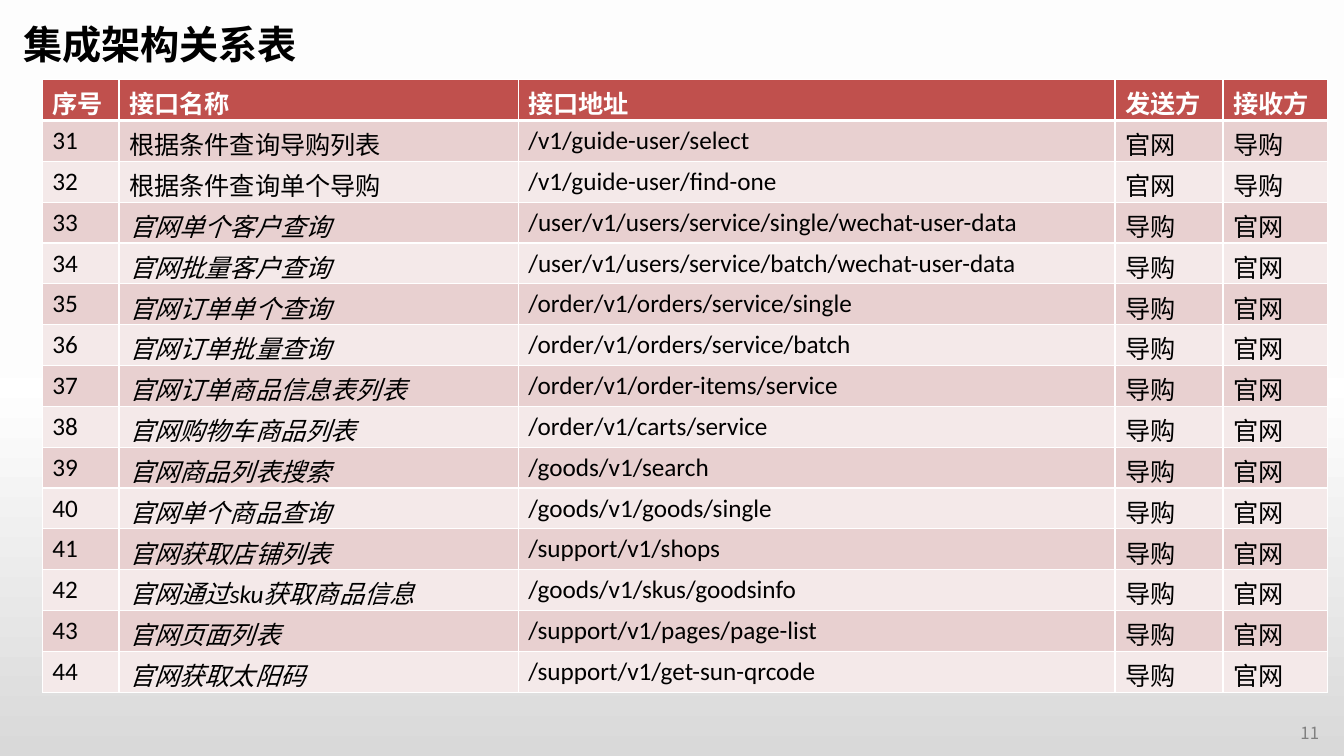
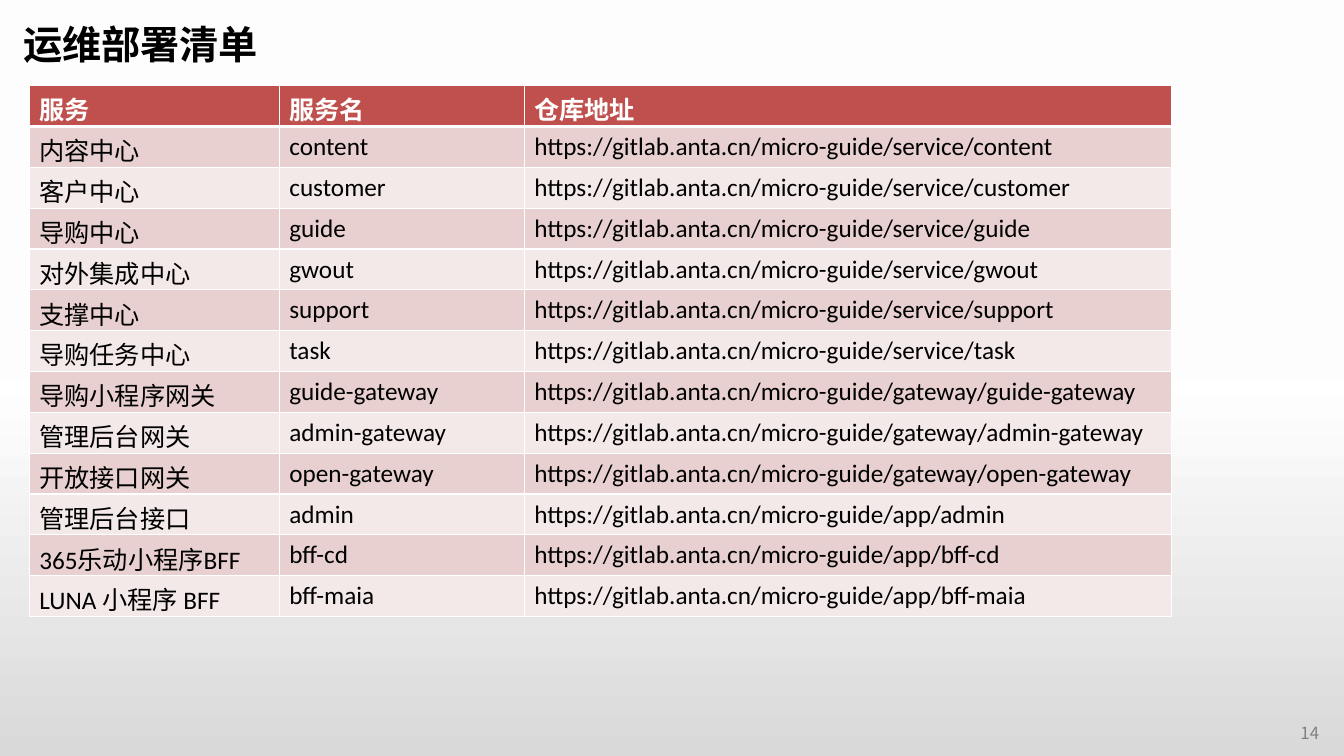
from copy import deepcopy
from dataclasses import dataclass

from lxml.etree import SubElement
from pptx import Presentation
from pptx.dml.color import RGBColor
from pptx.enum.text import MSO_ANCHOR, MSO_AUTO_SIZE
from pptx.oxml.ns import qn
from pptx.util import Inches, Pt


@dataclass(frozen=True)
class Theme:
    """Colours, fonts and type sizes shared by the slides."""

    latin: str = "Calibri"
    cjk: str = "Noto Sans CJK SC"
    title_size: int = 28
    table_size: int = 18
    page_size: int = 12
    text: str = "000000"
    white: str = "FFFFFF"
    page: str = "808080"
    header: str = "C0504D"
    bands: tuple = ("E8D0D0", "F4E9E9")
    backdrop: tuple = ((0, "FDFDFD"), (0.5, "FFFFFF"), (1, "D9D9D9"))
    rule: int = 1
    header_rule: int = 3


THEME = Theme()

INTERFACES = [
    ("根据条件查询导购列表", "/v1/guide-user/select"),
    ("根据条件查询单个导购", "/v1/guide-user/find-one"),
    ("官网单个客户查询", "/user/v1/users/service/single/wechat-user-data"),
    ("官网批量客户查询", "/user/v1/users/service/batch/wechat-user-data"),
    ("官网订单单个查询", "/order/v1/orders/service/single"),
    ("官网订单批量查询", "/order/v1/orders/service/batch"),
    ("官网订单商品信息表列表", "/order/v1/order-items/service"),
    ("官网购物车商品列表", "/order/v1/carts/service"),
    ("官网商品列表搜索", "/goods/v1/search"),
    ("官网单个商品查询", "/goods/v1/goods/single"),
    ("官网获取店铺列表", "/support/v1/shops"),
    ("官网通过sku获取商品信息", "/goods/v1/skus/goodsinfo"),
    ("官网页面列表", "/support/v1/pages/page-list"),
    ("官网获取太阳码", "/support/v1/get-sun-qrcode"),
]
FIRST_NUMBER = 31
GUIDE_OWNED = 2

REPOSITORY = "https://gitlab.anta.cn/micro-guide"
SERVICES = [
    ("内容中心", "content", "service"),
    ("客户中心", "customer", "service"),
    ("导购中心", "guide", "service"),
    ("对外集成中心", "gwout", "service"),
    ("支撑中心", "support", "service"),
    ("导购任务中心", "task", "service"),
    ("导购小程序网关", "guide-gateway", "gateway"),
    ("管理后台网关", "admin-gateway", "gateway"),
    ("开放接口网关", "open-gateway", "gateway"),
    ("管理后台接口", "admin", "app"),
    ("365乐动小程序BFF", "bff-cd", "app"),
    ("LUNA 小程序 BFF", "bff-maia", "app"),
]


def write(tf, text, size, color, latin, bold=False, italic=False):
    """Set the text of a frame and format its run."""
    p = tf.paragraphs[0]
    p.text = text
    r = p.runs[0]
    r.font.size = Pt(size)
    r.font.name = latin
    r.font.bold = bold
    r.font.italic = italic
    r.font.color.rgb = RGBColor.from_string(color)
    SubElement(r.font._element, qn("a:ea"), typeface=THEME.cjk)


def set_backdrop(master):
    """Give the slide master its vertical gradient."""
    fill = master.background.fill
    fill.gradient()
    fill.gradient_angle = 270
    stops = master.element.find(".//" + qn("a:gsLst"))
    stops.append(deepcopy(stops[0]))
    for stop, (position, color) in zip(fill.gradient_stops, THEME.backdrop):
        stop.position = position
        stop.color.rgb = RGBColor.from_string(color)


def add_text(s, box, text, size, color, bold=False):
    """Add a one-line text box."""
    tf = s.shapes.add_textbox(*map(Inches, box)).text_frame
    tf.word_wrap = True
    write(tf, text, size, color, THEME.cjk, bold)
    return tf


def set_borders(cell, top, bottom):
    """Draw white rules around a cell."""
    tc_pr = cell._tc.get_or_add_tcPr()
    widths = (("L", THEME.rule), ("R", THEME.rule), ("T", top), ("B", bottom))
    for i, (side, width) in enumerate(widths):
        ln = SubElement(tc_pr, qn("a:ln" + side), w=str(Pt(width)))
        fill = SubElement(ln, qn("a:solidFill"))
        SubElement(fill, qn("a:srgbClr"), val=THEME.white)
        tc_pr.insert(i, ln)


def add_grid(s, box, widths, rows, is_italic):
    """Add a banded table with a header row."""
    frame = s.shapes.add_table(len(rows), len(widths), *map(Inches, box))
    table = frame.table
    table.first_row = table.horz_banding = False
    for column, width in zip(table.columns, widths):
        column.width = Inches(width)
    for i, values in enumerate(rows):
        header = i == 0
        table.rows[i].height = Inches(box[3] / len(rows))
        band = THEME.header if header else THEME.bands[(i - 1) % 2]
        color = THEME.white if header else THEME.text
        for j, value in enumerate(values):
            cell = table.cell(i, j)
            write(cell.text_frame, value, THEME.table_size, color,
                  THEME.latin, header, is_italic(i, j))
            cell.fill.solid()
            cell.fill.fore_color.rgb = RGBColor.from_string(band)
            set_borders(cell, THEME.header_rule if i == 1 else THEME.rule,
                        THEME.header_rule if header else THEME.rule)


def add_table_slide(prs, title, page, box, widths, rows,
                    is_italic=lambda i, j: False):
    """Add a slide with a title, a table and a page number."""
    s = prs.slides.add_slide(prs.slide_layouts[6])
    add_text(s, (12.8, 7.12, 0.51, 0.29), str(page),
             THEME.page_size, THEME.page)
    tf = add_text(s, (0.13, 0.15, 7.61, 0.57), title,
                  THEME.title_size, THEME.text, True)
    tf.vertical_anchor = MSO_ANCHOR.MIDDLE
    tf.auto_size = MSO_AUTO_SIZE.SHAPE_TO_FIT_TEXT
    add_grid(s, box, widths, rows, is_italic)


def interface_rows():
    """Return the interface table, numbered and with both parties."""
    rows = [("序号", "接口名称", "接口地址", "发送方", "接收方")]
    for i, (name, address) in enumerate(INTERFACES):
        parties = ("官网", "导购") if i < GUIDE_OWNED else ("导购", "官网")
        rows.append((str(FIRST_NUMBER + i), name, address, *parties))
    return rows


def service_rows():
    """Return the service table with repository addresses."""
    return [("服务", "服务名", "仓库地址")] + [
        (label, name, f"{REPOSITORY}/{group}/{name}")
        for label, name, group in SERVICES
    ]


def main():
    """Build and save the presentation."""
    prs = Presentation()
    prs.slide_width, prs.slide_height = Inches(13.33), Inches(7.5)
    set_backdrop(prs.slide_master)
    add_table_slide(prs, "集成架构关系表", 11, (0.42, 0.79, 12.75, 6.08),
                    (0.76, 3.96, 5.92, 1.07, 1.04), interface_rows(),
                    lambda i, j: i > GUIDE_OWNED and j == 1)
    add_table_slide(prs, "运维部署清单", 14, (0.29, 0.85, 11.33, 5.27),
                    (2.48, 2.43, 6.42), service_rows())
    prs.save("out.pptx")


if __name__ == "__main__":
    main()
